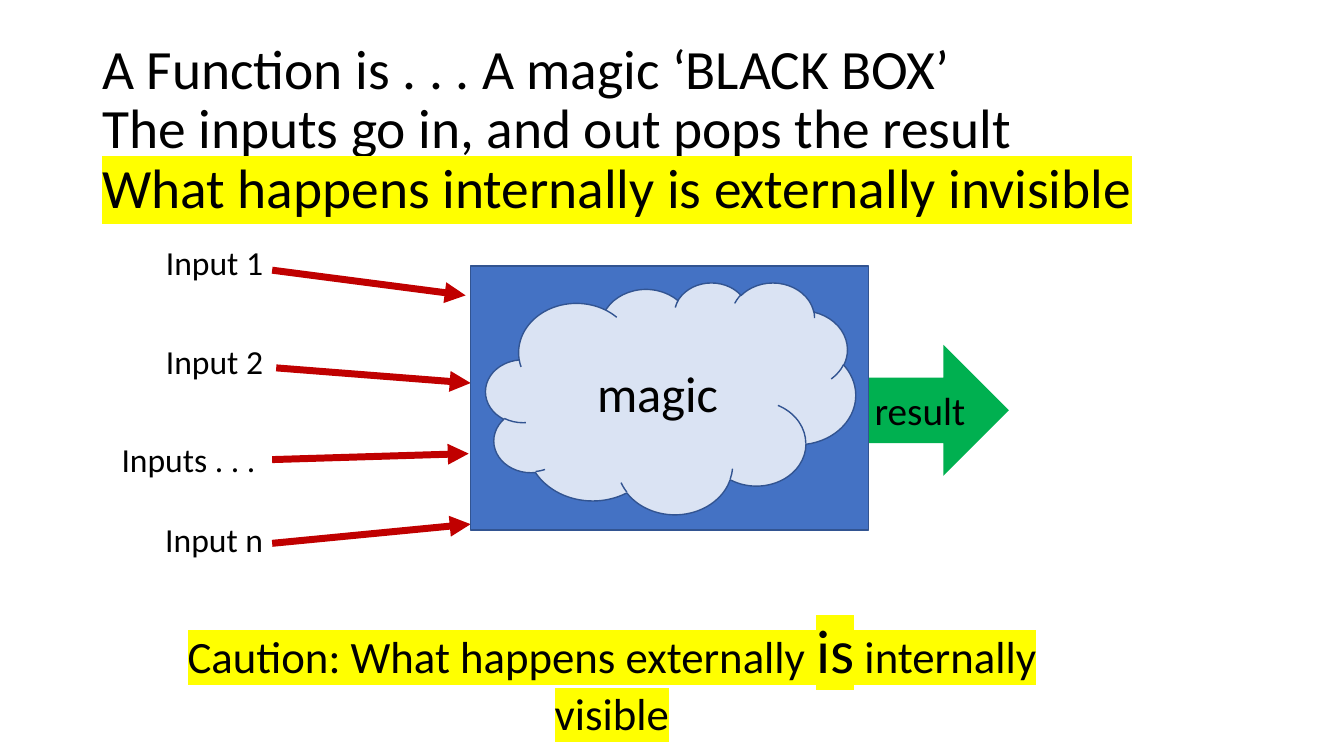
from lxml.etree import SubElement
from pptx import Presentation
from pptx.dml.color import RGBColor
from pptx.enum.shapes import MSO_CONNECTOR, MSO_SHAPE
from pptx.enum.text import MSO_ANCHOR, PP_ALIGN
from pptx.oxml.ns import qn
from pptx.util import Pt

BLACK, YELLOW, RED = "000000", "FFFF00", "C00000"
BLUE, DARK_BLUE, PALE_BLUE, GREEN = "4472C4", "325491", "DAE3F3", "00B050"


def color(value):
    return RGBColor.from_string(value)


def format_run(run, size, highlight=None):
    run.font.size = Pt(size)
    run.font.color.rgb = color(BLACK)
    # The highlight has to sit between the fill and the typeface
    if highlight:
        marker = SubElement(run.font._element, qn("a:highlight"))
        SubElement(marker, qn("a:srgbClr"), val=highlight)
    run.font.name = "Calibri"


def add_text_box(slide, box, alignment, anchor=MSO_ANCHOR.TOP):
    shape = slide.shapes.add_textbox(*map(Pt, box))
    shape.text_frame.word_wrap = True
    shape.text_frame.vertical_anchor = anchor
    paragraph = shape.text_frame.paragraphs[0]
    paragraph.alignment = alignment
    return paragraph


def add_block(slide, kind, box, fill, line=None, text="", size=18):
    shape = slide.shapes.add_shape(kind, *map(Pt, box))
    shape.shadow.inherit = False
    shape.fill.solid()
    shape.fill.fore_color.rgb = color(fill)
    if line:
        shape.line.color.rgb = color(line)
        shape.line.width = Pt(1)
    else:
        shape.line.fill.background()
    text_frame = shape.text_frame
    text_frame.text = text
    text_frame.vertical_anchor = MSO_ANCHOR.MIDDLE
    paragraph = text_frame.paragraphs[0]
    paragraph.alignment = PP_ALIGN.CENTER
    for run in paragraph.runs:
        format_run(run, size)


def add_arrow(slide, start, end):
    connector = slide.shapes.add_connector(
        MSO_CONNECTOR.STRAIGHT, *map(Pt, start + end))
    connector.line.color.rgb = color(RED)
    connector.line.width = Pt(5)
    SubElement(connector.line._get_or_add_ln(), qn("a:tailEnd"), type="triangle")
    SubElement(connector._element.spPr, qn("a:effectLst"))


def add_title(slide, box):
    paragraph = add_text_box(slide, box, PP_ALIGN.LEFT, MSO_ANCHOR.MIDDLE)
    paragraph.line_spacing = 0.9
    paragraph.text = ("A Function is . . . A magic ‘BLACK BOX’\v"
                      "The inputs go in, and out pops the result\v"
                      "What happens internally is externally invisible")
    for run, highlight in zip(paragraph.runs, (None, None, YELLOW)):
        format_run(run, 39.6, highlight)


def add_inputs(slide, box):
    left, top, width, _ = box
    label_width = 135
    # Label, label top, arrow start, arrow end; measured from the box corner,
    # with arrow ends measured from its right side
    inputs = [
        ("Input 1", 0, (134.4, 23.8), (-3.6, 41.8)),
        ("Input 2", 70.6, (137.3, 93.6), (0, 104.4)),
        ("Inputs . . . ", 141.1, (134.4, 159.1), (-1.4, 154.8)),
        ("Input n", 198, (134.4, 218.9), (0, 205.2)),
    ]
    for label, offset, start, end in inputs:
        paragraph = add_text_box(
            slide, (left, top + offset, label_width, 36), PP_ALIGN.RIGHT)
        paragraph.text = label
        format_run(paragraph.runs[0], 24)
        add_arrow(slide, (left + start[0], top + start[1]),
                  (left + width + end[0], top + end[1]))


def add_black_box(slide, box):
    left, top, width, height = box
    # Result arrow comes out from behind the box
    add_block(slide, MSO_SHAPE.RIGHT_ARROW,
              (left + width - 3.6, top + 56.2, 103.7, 93.6),
              GREEN, text="result", size=28)
    add_block(slide, MSO_SHAPE.RECTANGLE, box, BLUE, DARK_BLUE)
    # Cloud inside the box
    add_block(slide, MSO_SHAPE.CLOUD,
              (left + 10.8, top + 11.5, width - 20.2, height - 23),
              PALE_BLUE, DARK_BLUE, "magic", 36)


def add_caution(slide, box):
    paragraph = add_text_box(slide, box, PP_ALIGN.CENTER, MSO_ANCHOR.MIDDLE)
    for text, size in (("Caution: What happens externally ", 32),
                       ("is", 44),
                       (" internally visible", 32)):
        run = paragraph.add_run()
        run.text = text
        format_run(run, size, YELLOW)


def main():
    presentation = Presentation()
    presentation.slide_width, presentation.slide_height = Pt(960), Pt(540)
    slide = presentation.slides.add_slide(presentation.slide_layouts[6])
    add_title(slide, (66, 28.8, 828, 129.6))
    add_inputs(slide, (60, 169.2, 276.2, 234))
    add_black_box(slide, (336.2, 190.1, 284.4, 188.6))
    add_caution(slide, (85, 452.2, 704.2, 60.5))
    presentation.save("out.pptx")


if __name__ == "__main__":
    main()
